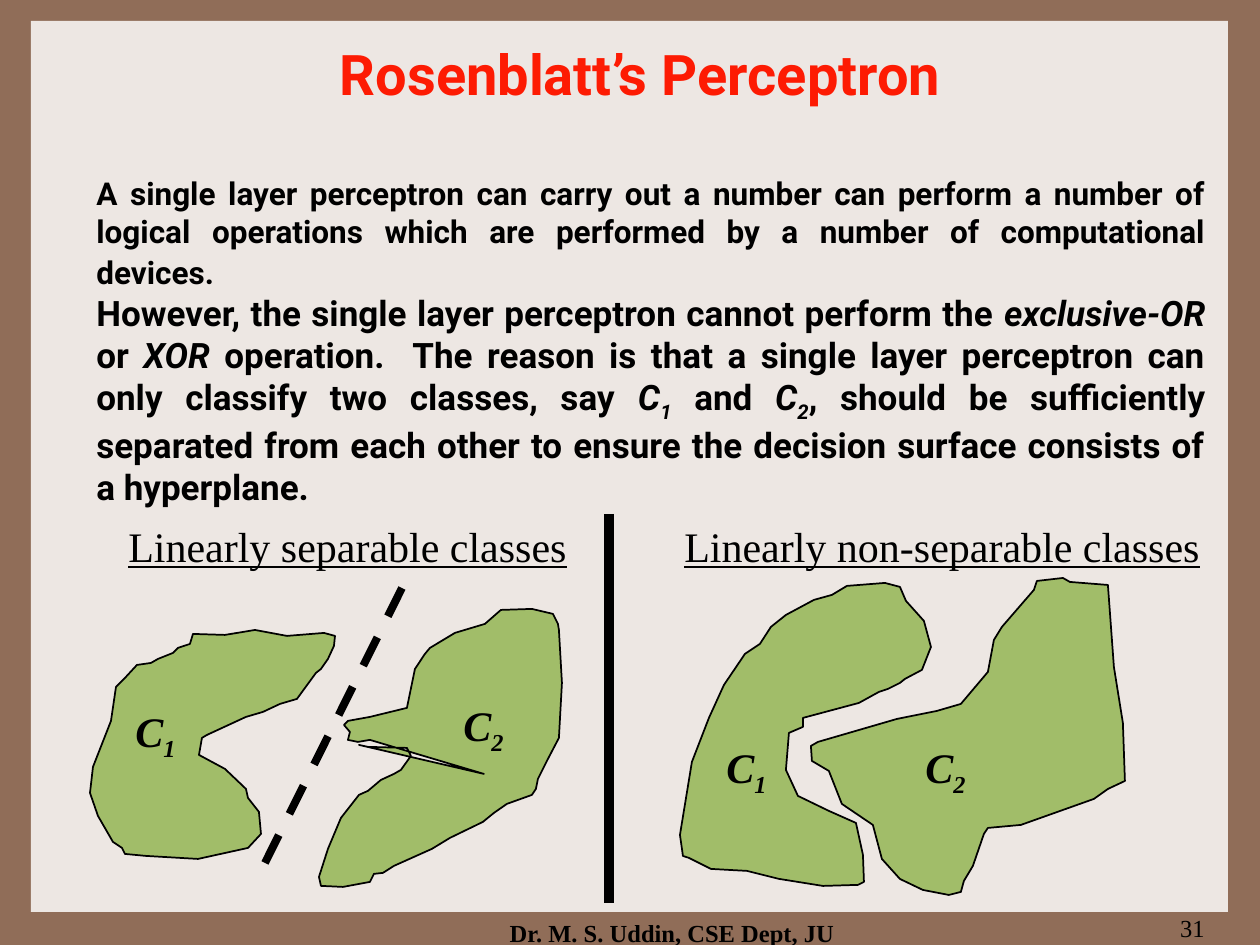
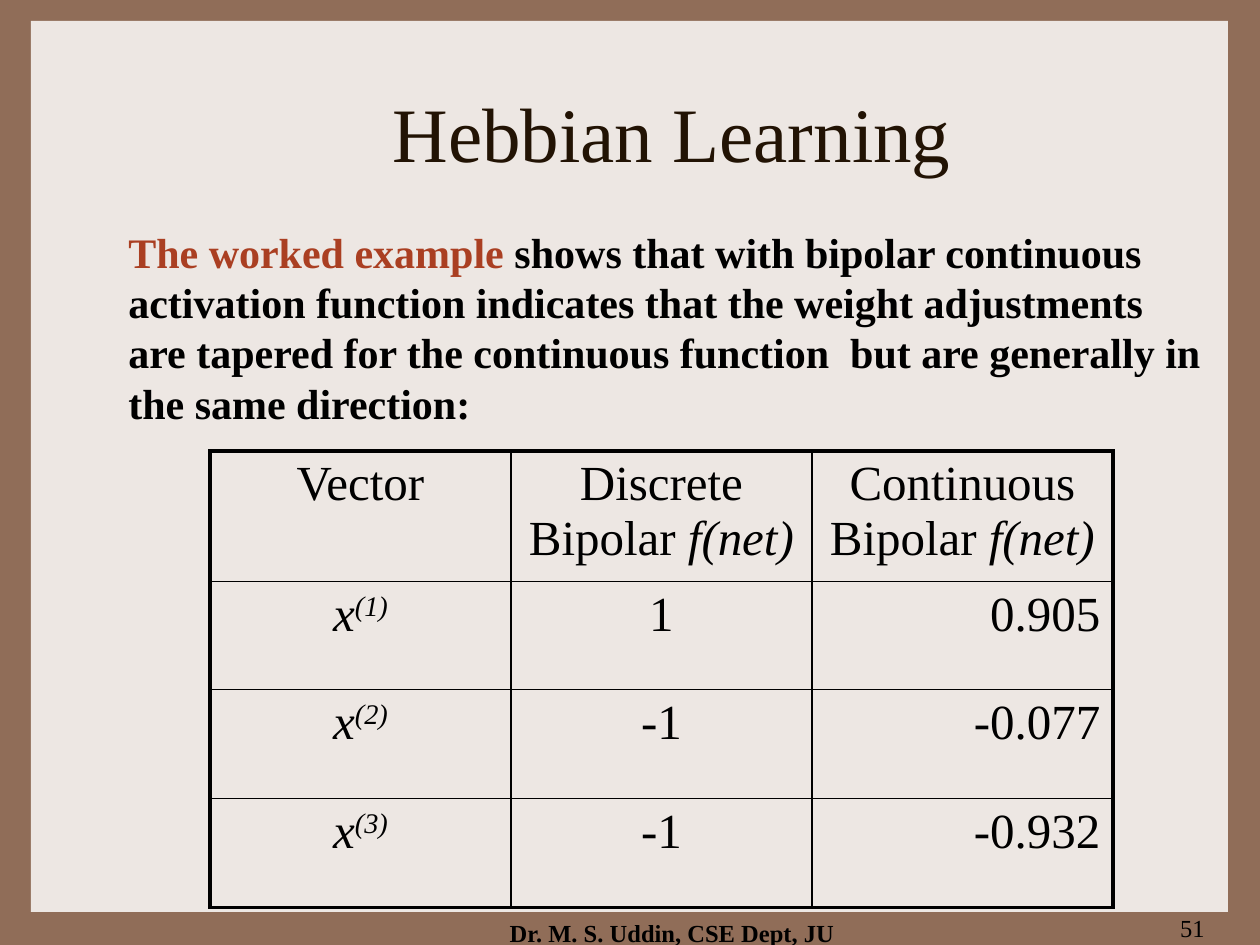
from pptx import Presentation
from pptx.dml.color import RGBColor
from pptx.enum.dml import MSO_LINE
from pptx.enum.shapes import MSO_CONNECTOR as CONN, MSO_SHAPE as SHAPE
from pptx.enum.text import MSO_ANCHOR as ANCHOR, PP_ALIGN as ALIGN
from pptx.oxml.ns import qn
from pptx.util import Emu, Pt
from lxml import etree

PX = 914400 // 126
SERIF, SANS = "Times New Roman", "Roboto"
BROWN, PAPER, GREEN, BLACK = "906D58", "EDE7E3", "A1BD69", "000000"
RED, RUST, DARK = "FD1B03", "AA3F22", "221304"
BOLD, ITALIC, PLAIN = {"b": True}, {"i": True}, {}
SUB = {"i": True, "base": -25}
SUP = {"i": True, "base": 30}

# Outlines of the classes, in px from the corner of their panel
SEPARABLE_1 = [
    (255, 130), (225, 135), (193, 134), (190, 144), (178, 148), (173, 153),
    (158, 159), (151, 163), (137, 165), (125, 178), (116, 187), (111, 221),
    (93, 267), (90, 293), (98, 316), (113, 342), (122, 348), (125, 354),
    (146, 356), (198, 359), (248, 348), (261, 334), (259, 312), (248, 298),
    (246, 289), (225, 269), (199, 255), (202, 238), (207, 235), (246, 217),
    (263, 212), (280, 204), (297, 199), (316, 173), (321, 169), (328, 159),
    (334, 146), (335, 136), (324, 133), (287, 136)]
SEPARABLE_2 = [
    (370, 240), (358, 242), (348, 240), (350, 232), (344, 225), (348, 221),
    (370, 217), (407, 208), (415, 169), (425, 154), (430, 148), (455, 133),
    (485, 124), (501, 110), (532, 109), (553, 114), (558, 124), (559, 130),
    (562, 183), (559, 238), (547, 261), (538, 279), (536, 289), (532, 295),
    (507, 304), (494, 313), (483, 322), (450, 338), (432, 349), (394, 366),
    (383, 373), (374, 374), (370, 382), (343, 387), (321, 386), (319, 377),
    (328, 349), (341, 318), (359, 295), (368, 291), (381, 280), (394, 274),
    (401, 270), (411, 256), (407, 248), (368, 247), (359, 245), (484, 274)]
NON_SEPARABLE_1 = [
    (203, 218), (259, 203), (279, 192), (288, 189), (300, 183), (305, 179),
    (322, 170), (331, 147), (324, 121), (306, 101), (300, 87), (285, 83),
    (247, 86), (232, 95), (214, 100), (186, 115), (171, 127), (160, 144),
    (145, 154), (124, 185), (109, 218), (92, 262), (80, 335), (83, 356),
    (89, 358), (111, 369), (147, 371), (179, 379), (223, 386), (258, 385),
    (264, 382), (263, 355), (256, 323), (229, 311), (198, 296), (186, 270),
    (189, 233), (203, 227)]
NON_SEPARABLE_2 = [
    (394, 140), (388, 172), (361, 204), (337, 211), (297, 219), (218, 242),
    (211, 246), (212, 261), (229, 271), (242, 304), (273, 325), (282, 359),
    (300, 379), (323, 390), (349, 395), (361, 392), (364, 381), (373, 366),
    (384, 334), (388, 328), (421, 325), (494, 299), (508, 289), (525, 281),
    (523, 223), (514, 167), (508, 85), (470, 82), (463, 78), (437, 81),
    (434, 90), (402, 127)]


def px(*values):
    return [Emu(v * PX) for v in values]


def rgb(color):
    return RGBColor.from_string(color)


def add_runs(p, runs, size, font=SERIF, color=BLACK, align=ALIGN.LEFT):
    """Each run is (text, overrides)."""
    p.alignment = align
    for text, style in runs:
        r = p.add_run()
        r.text = text
        f = r.font
        f.name, f.size = font, Pt(style.get("sz", size))
        f.bold, f.italic = style.get("b", False), style.get("i", False)
        f.underline = style.get("u", False)
        f.color.rgb = rgb(style.get("c", color))
        if "base" in style:
            r._r.get_or_add_rPr().set("baseline", str(style["base"] * 1000))


def add_text(s, box, paragraphs, size, anchor=ANCHOR.TOP, wrap=True, **look):
    tf = s.shapes.add_textbox(*px(*box)).text_frame
    tf.word_wrap, tf.vertical_anchor = wrap, anchor
    for i, runs in enumerate(paragraphs):
        p = tf.add_paragraph() if i else tf.paragraphs[0]
        add_runs(p, runs, size, **look)


def add_line(s, start, end, width, dash=None):
    line = s.shapes.add_connector(CONN.STRAIGHT, *px(*start, *end))
    line.line.color.rgb, line.line.width = rgb(BLACK), Pt(width)
    if dash:
        line.line.dash_style = dash
    etree.SubElement(line._element.spPr, qn("a:effectLst"))


def add_frame(prs, number):
    """Slide with paper panel, footer and slide number."""
    s = prs.slides.add_slide(prs.slide_layouts[6])
    s.background.fill.solid()
    s.background.fill.fore_color.rgb = rgb(BROWN)
    sp = s.shapes.add_shape(SHAPE.RECTANGLE, *px(31, 21, 1197, 891))
    sp.shadow.inherit = False
    sp.fill.solid()
    sp.fill.fore_color.rgb = rgb(PAPER)
    sp.line.fill.background()
    add_text(s, (472, 912, 400, 33), [[("Dr. M. S. Uddin, CSE Dept, JU", BOLD)]],
             14, align=ALIGN.CENTER)
    add_text(s, (955, 907, 262, 63), [[(str(number), PLAIN)]], 14, align=ALIGN.RIGHT)
    return s


def add_title(s, box, text, size, style=PLAIN, **look):
    add_text(s, box, [[(text, style)]], size, anchor=ANCHOR.MIDDLE,
             align=ALIGN.CENTER, **look)


def add_class_panel(s, corner, heading, heading_box, classes):
    """Heading and two class regions; each class is (outline, label corner)."""
    left, top = corner
    for number, (outline, label) in enumerate(classes, 1):
        points = [(left + x, top + y) for x, y in outline]
        builder = s.shapes.build_freeform(*points[0], scale=PX)
        builder.add_line_segments(points[1:], close=True)
        sp = builder.convert_to_shape()
        sp.shadow.inherit = False
        sp.fill.solid()
        sp.fill.fore_color.rgb = rgb(GREEN)
        sp.line.color.rgb, sp.line.width = rgb(BLACK), Pt(1)
        add_text(s, (left + label[0], top + label[1], 67, 63),
                 [[("C", {**BOLD, **ITALIC}), (str(number), {**BOLD, **SUB})]],
                 24, wrap=False)
    x, y, w, h = heading_box
    add_text(s, (left + x, top + y, w, h), [[(heading, {"u": True})]], 24)


def add_value_table(s, box, row_heights, rows):
    """Ruled table with a heavier outer border; each cell is a list of runs."""
    n_rows, n_cols = len(rows), len(rows[0])
    table = s.shapes.add_table(n_rows, n_cols, *px(*box)).table
    table.first_row = table.horz_banding = False
    for col in table.columns:
        col.width = Emu(box[2] * PX // n_cols)
    for i, (height, cells) in enumerate(zip(row_heights, rows)):
        table.rows[i].height = Emu(height * PX)
        for j, runs in enumerate(cells):
            cell = table.cell(i, j)
            right = i > 0 and j == n_cols - 1
            add_runs(cell.text_frame.paragraphs[0], runs, 28,
                     align=ALIGN.RIGHT if right else ALIGN.CENTER)
            outer = {"L": j == 0, "R": j == n_cols - 1,
                     "T": i == 0, "B": i == n_rows - 1}
            set_borders(cell, outer)
            cell.fill.background()


def set_borders(cell, outer):
    tc_pr = cell._tc.get_or_add_tcPr()
    for side, is_outer in outer.items():
        ln = etree.SubElement(tc_pr, qn("a:ln" + side),
                              w=str(Pt(2.25 if is_outer else 1)))
        fill = etree.SubElement(ln, qn("a:solidFill"))
        etree.SubElement(fill, qn("a:srgbClr"), val=BLACK)


def perceptron_slide(prs):
    s = add_frame(prs, 31)
    bold_italic, bold_sub = {**BOLD, **ITALIC}, {**BOLD, **SUB}
    add_text(s, (84, 168, 1134, 340), [
        [("A single layer perceptron can carry out a number can perform a number of "
          "logical operations which are performed by a number of computational "
          "devices.", {**BOLD, "sz": 18}), (" ", BOLD)],
        [("However, the single layer perceptron cannot perform the ", BOLD),
         ("exclusive-OR", bold_italic), (" or ", BOLD), ("XOR", bold_italic),
         (" operation.  The reason is that a single layer perceptron can only "
          "classify two classes, say ", BOLD),
         ("C", bold_italic), ("1", bold_sub), (" and ", BOLD),
         ("C", bold_italic), ("2", bold_sub),
         (", should be sufficiently separated from each other to ensure the "
          "decision surface consists of a hyperplane.", BOLD)],
    ], 20, font=SANS, align=ALIGN.JUSTIFY)

    # Class diagrams on both sides of the divider
    add_class_panel(s, (0, 500), "Linearly separable classes", (116, 14, 483, 63),
                    [(SEPARABLE_1, (123, 199)), (SEPARABLE_2, (451, 193))])
    add_line(s, (402, 588), (255 + 10, 863), 4.5, MSO_LINE.DASH)
    add_class_panel(s, (600, 500), "Linearly non-separable classes", (72, 14, 567, 63),
                    [(NON_SEPARABLE_1, (114, 235)), (NON_SEPARABLE_2, (313, 235))])
    add_line(s, (609, 514), (609, 903), 6)
    add_title(s, (84, 42, 1113, 63), "Rosenblatt’s Perceptron", 32, BOLD,
              font=SANS, color=RED)


def hebbian_slide(prs):
    s = add_frame(prs, 51)
    add_title(s, (147, 53, 1050, 157), "Hebbian Learning", 44, color=DARK)
    add_text(s, (116, 220, 1102, 315), [
        [("The worked example ", {**BOLD, "c": RUST}),
         ("shows that with bipolar continuous activation function indicates that "
          "the weight adjustments are tapered for the continuous function  but are "
          "generally in the same direction:", BOLD)]], 24)

    # Outputs per input vector
    header = [[("Vector", PLAIN)]] + [
        [(kind + " Bipolar ", PLAIN), ("f(net)", ITALIC)]
        for kind in ("Discrete", "Continuous")]
    outputs = [("1", "0.905"), ("-1", "-0.077"), ("-1", "-0.932")]
    body = [[[("x", ITALIC), (f"({n})", SUP)], [(discrete, PLAIN)], [(continuous, PLAIN)]]
            for n, (discrete, continuous) in enumerate(outputs, 1)]
    add_value_table(s, (210, 451, 903, 456), [130, 108, 109, 109], [header] + body)


def main():
    prs = Presentation()
    prs.slide_width, prs.slide_height = px(1260, 945)
    perceptron_slide(prs)
    hebbian_slide(prs)
    prs.save("out.pptx")


if __name__ == "__main__":
    main()
